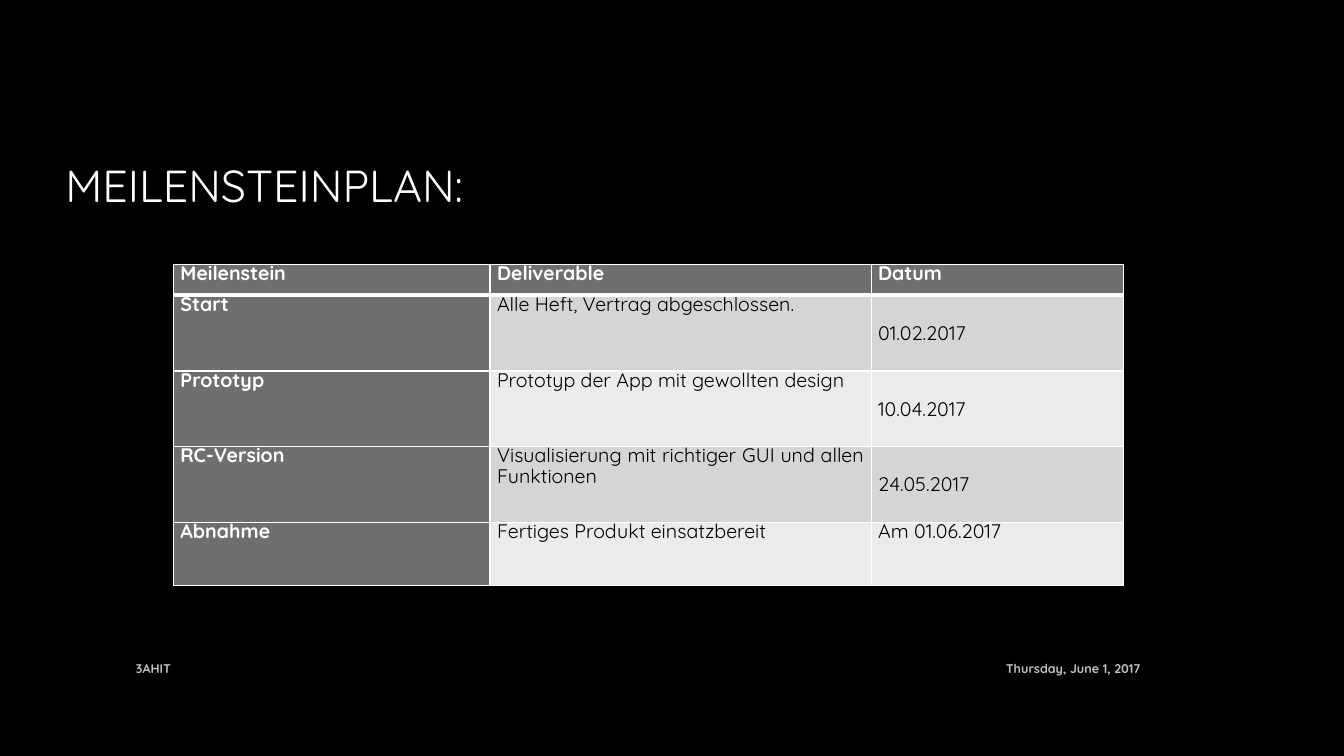
import dataclasses
import typing

import lxml.etree
import pptx
import pptx.dml.color
import pptx.enum.text
import pptx.oxml
import pptx.oxml.ns
import pptx.util

PX = 9144
FONT = "Quicksand"
BLACK = pptx.dml.color.RGBColor(0x00, 0x00, 0x00)
WHITE = pptx.dml.color.RGBColor(0xFF, 0xFF, 0xFF)
FOOTER_GREY = pptx.dml.color.RGBColor(0xBF, 0xBF, 0xBF)
HEADING_GREY = pptx.dml.color.RGBColor(0x6F, 0x6F, 0x6F)
BAND_GREYS = (
    pptx.dml.color.RGBColor(0xD5, 0xD5, 0xD5),
    pptx.dml.color.RGBColor(0xEB, 0xEB, 0xEB),
)
ALIGN = pptx.enum.text.PP_ALIGN
ANCHOR = pptx.enum.text.MSO_ANCHOR
NAMESPACE = pptx.oxml.ns.nsdecls("a")


@dataclasses.dataclass(frozen=True)
class Label:
    text: str
    left: int
    top: int
    width: int
    height: int
    size: int
    color: pptx.dml.color.RGBColor
    bold: bool = False
    align: ALIGN = ALIGN.LEFT
    anchor: ANCHOR = ANCHOR.MIDDLE
    wrap: bool = True
    shadow: bool = False


@dataclasses.dataclass(frozen=True)
class Milestone:
    name: str
    deliverable: str
    date: str
    height: int = 75
    date_offset: int = 29


LABELS = (
    Label("Thursday, June 1, 2017", 966, 643, 175, 40, 9, FOOTER_GREY,
          bold=True, align=ALIGN.RIGHT),
    Label("3AHIT", 125, 643, 825, 40, 9, FOOTER_GREY, bold=True),
    Label("MEILENSTEINPLAN:", 55, 152, 427, 64, 32, WHITE,
          anchor=ANCHOR.TOP, wrap=False, shadow=True),
)
MILESTONES = (
    Milestone("Meilenstein", "Deliverable", "Datum", height=31, date_offset=0),
    Milestone("Start", "Alle Heft, Vertrag abgeschlossen.", "01.02.2017"),
    Milestone("Prototyp", "Prototyp der App mit gewollten design", "10.04.2017"),
    Milestone("RC-Version", "Visualisierung mit richtiger GUI und allen Funktionen",
              "24.05.2017"),
    Milestone("Abnahme", "Fertiges Produkt einsatzbereit", "Am 01.06.2017",
              height=63, date_offset=0),
)
COLUMN_WIDTHS = (314, 378, 250)


def px(length: int) -> pptx.util.Emu:
    return pptx.util.Emu(length * PX)


def write_text(frame: typing.Any, text: str, *, size: int,
               color: pptx.dml.color.RGBColor, bold: bool = False,
               align: ALIGN = ALIGN.LEFT, leading: int | None = None,
               spacing: int = 0, shadow: bool = False) -> None:
    paragraph = frame.paragraphs[0]
    paragraph.alignment = align
    paragraph.space_before = paragraph.space_after = pptx.util.Pt(spacing)
    if leading:
        paragraph.line_spacing = pptx.util.Pt(leading)
    run = paragraph.add_run()
    run.text = text
    run.font.name = FONT
    run.font.size = pptx.util.Pt(size)
    run.font.bold = bold
    run.font.color.rgb = color
    if shadow:
        run.font.fill._xPr.find(pptx.oxml.ns.qn("a:latin")).addprevious(
            pptx.oxml.parse_xml(
                f'<a:effectLst {NAMESPACE}><a:outerShdw blurRad="38100" dist="12700" '
                'dir="2700000"><a:srgbClr val="000000"><a:alpha val="40000"/>'
                '</a:srgbClr></a:outerShdw></a:effectLst>'))


def add_label(slide: typing.Any, label: Label) -> None:
    box = slide.shapes.add_textbox(
        px(label.left), px(label.top), px(label.width), px(label.height))
    box.text_frame.word_wrap = label.wrap
    box.text_frame.vertical_anchor = label.anchor
    write_text(box.text_frame, label.text, size=label.size, color=label.color,
               bold=label.bold, align=label.align, shadow=label.shadow)


def set_borders(cell: typing.Any, top: int, bottom: int) -> None:
    properties = cell._tc.get_or_add_tcPr()
    for index, (side, points) in enumerate(
            (("L", 1), ("R", 1), ("T", top), ("B", bottom))):
        properties.insert(index, pptx.oxml.parse_xml(
            f'<a:ln{side} {NAMESPACE} w="{pptx.util.Pt(points)}"><a:solidFill>'
            f'<a:srgbClr val="{WHITE}"/></a:solidFill></a:ln{side}>'))


def add_milestone_table(slide: typing.Any) -> None:
    table = slide.shapes.add_table(
        len(MILESTONES), len(COLUMN_WIDTHS), px(172), px(262),
        px(sum(COLUMN_WIDTHS)), px(sum(m.height for m in MILESTONES))).table
    for column, width in zip(table.columns, COLUMN_WIDTHS):
        column.width = px(width)
    for row, milestone in enumerate(MILESTONES):
        table.rows[row].height = px(milestone.height)
        contents = (milestone.name, milestone.deliverable, milestone.date)
        for column, content in enumerate(contents):
            cell = table.cell(row, column)
            heading = row == 0 or column == 0
            cell.margin_left = cell.margin_right = px(7)
            cell.margin_top = px(milestone.date_offset if column == 2 else 0)
            cell.margin_bottom = 0
            cell.fill.solid()
            cell.fill.fore_color.rgb = (
                HEADING_GREY if heading else BAND_GREYS[(row - 1) % 2])
            set_borders(cell, top=3 if row == 1 else 1, bottom=3 if row == 0 else 1)
            write_text(cell.text_frame, content, size=14,
                       color=WHITE if heading else BLACK, bold=heading,
                       align=ALIGN.JUSTIFY, leading=15, spacing=3)


def main() -> None:
    presentation = pptx.Presentation()
    presentation.slide_width, presentation.slide_height = px(1333), px(750)
    slide = presentation.slides.add_slide(presentation.slide_layouts[6])
    slide.background.fill.solid()
    slide.background.fill.fore_color.rgb = BLACK
    for label in LABELS:
        add_label(slide, label)
    add_milestone_table(slide)
    presentation.save("out.pptx")


if __name__ == "__main__":
    main()
